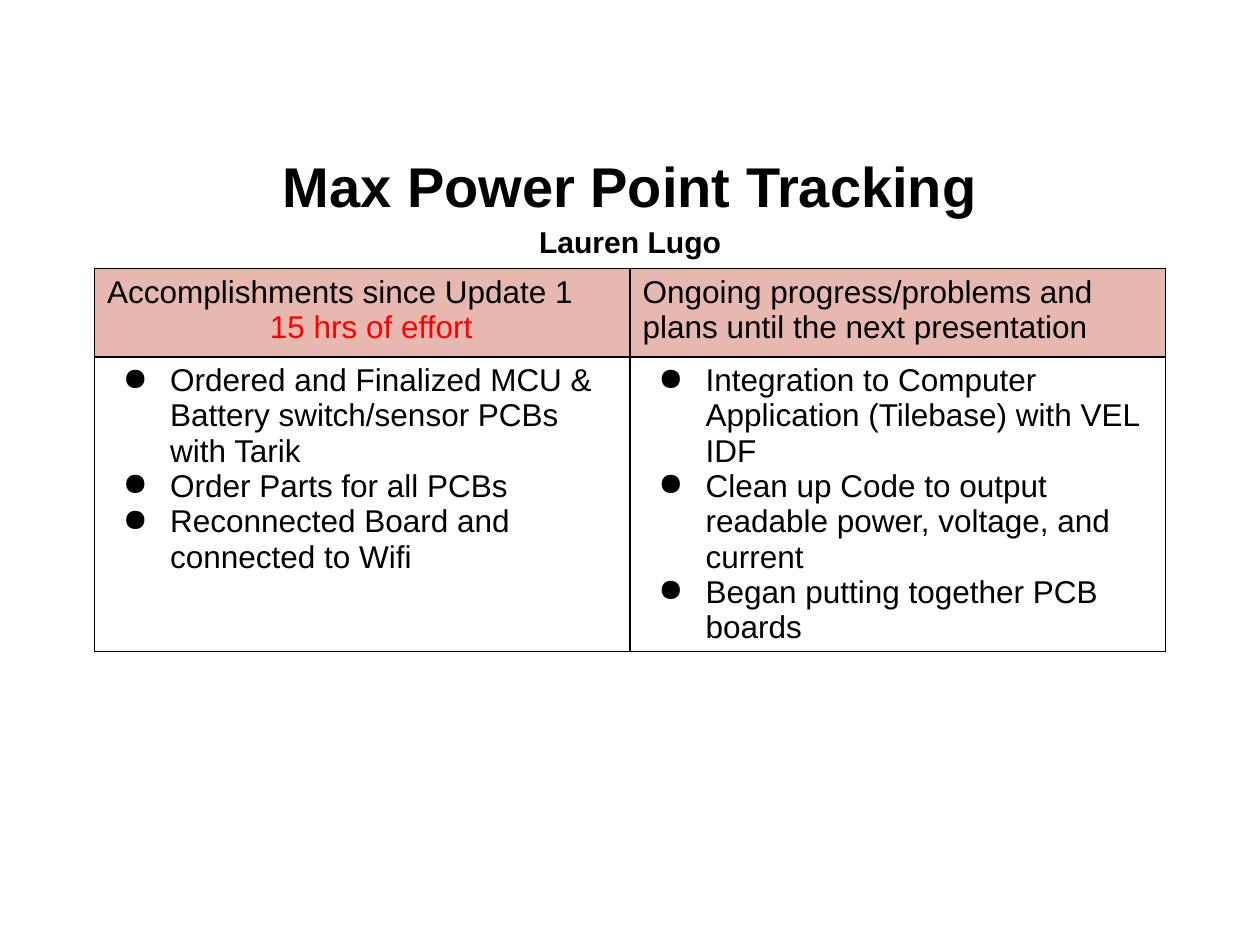
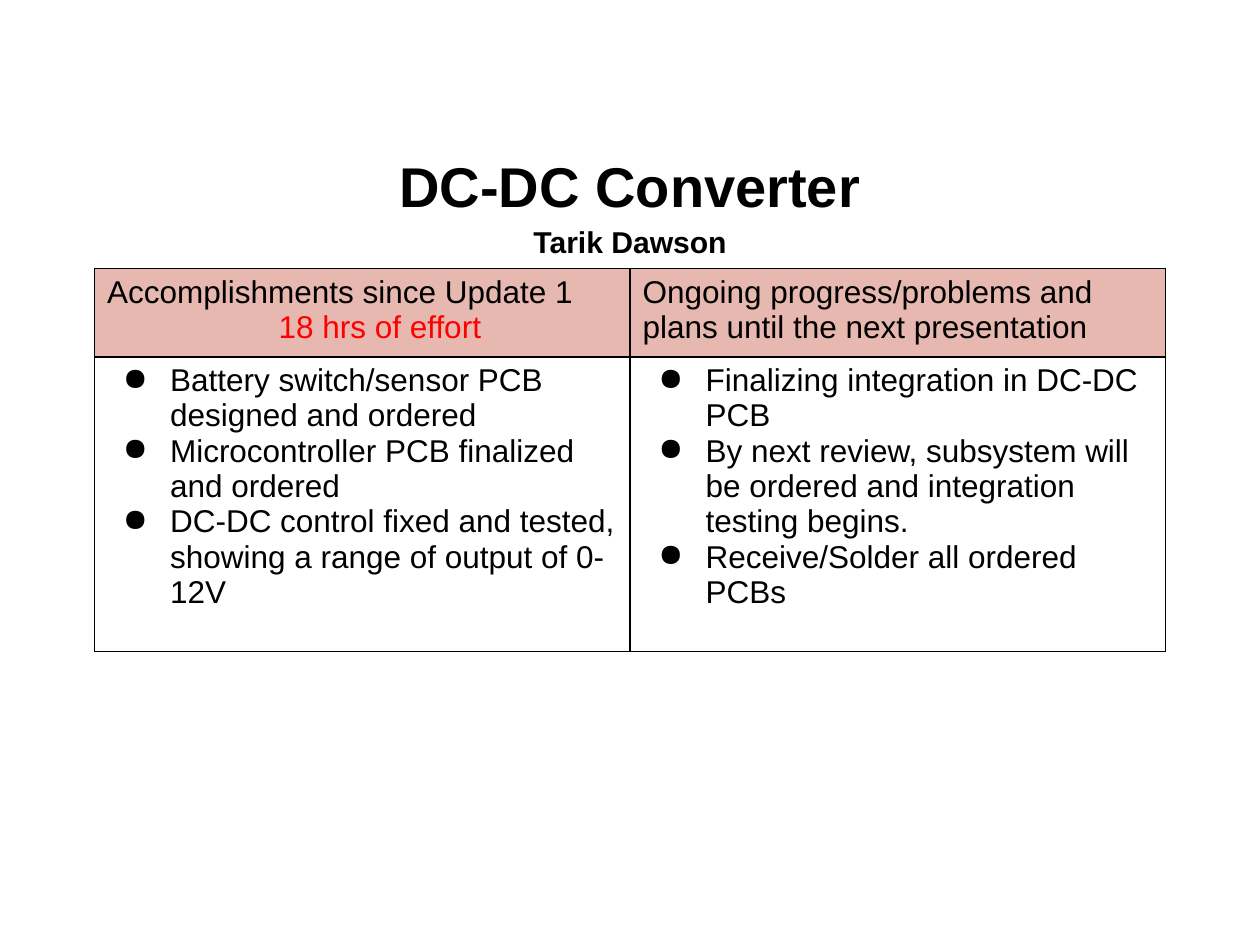
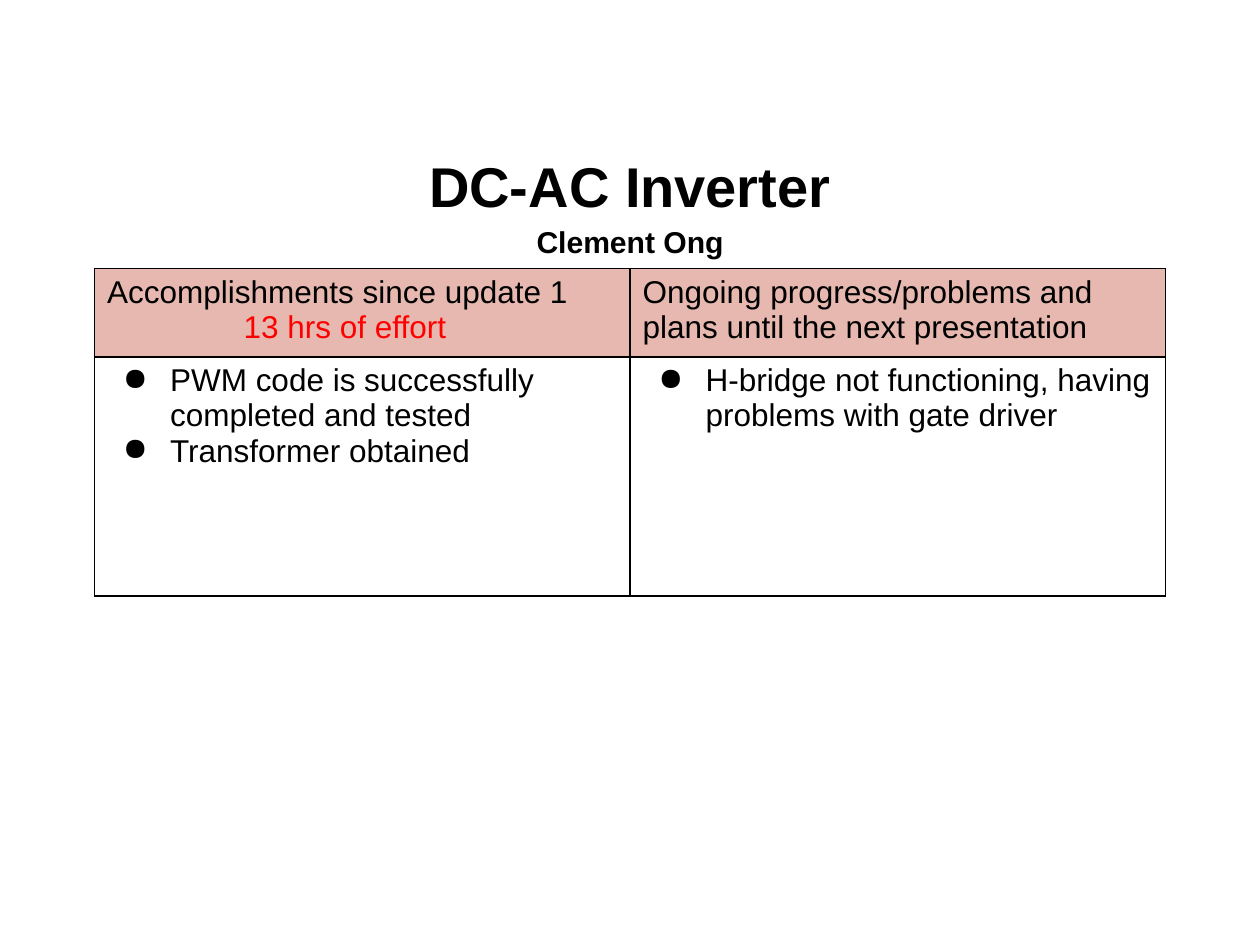
from lxml import etree
from pptx import Presentation
from pptx import util as u
from pptx.dml import color
from pptx.enum import text
from pptx.oxml import ns

COLORS = {"ink": "000000", "effort": "FF0000", "header": "E6B8AF"}
FONT = "Arial"
MARGIN, TABLE_TOP, COLUMN, HEADER_HEIGHT = 54, 153.5, 306, 50.4
PLANS_HEADING = "Ongoing progress/problems and plans until the next presentation"

updates = [
    {
        "topic": "Max Power Point Tracking",
        "presenter": "Lauren Lugo",
        "heading": "Accomplishments since Update 1",
        "effort": "15 hrs of effort",
        "effort_indent": 93,
        "body_height": 168.5,
        "done": [
            "Ordered and Finalized MCU & Battery switch/sensor PCBs with Tarik",
            "Order Parts for all PCBs",
            "Reconnected Board and connected to Wifi",
        ],
        "plans": [
            "Integration to Computer Application (Tilebase) with VEL IDF",
            "Clean up Code to output readable power, voltage, and current",
            "Began putting together PCB boards",
        ],
    },
    {
        "topic": "DC-DC Converter",
        "presenter": "Tarik Dawson",
        "heading": "Accomplishments since Update 1",
        "effort": "18 hrs of effort",
        "effort_indent": 98,
        "body_height": 168.5,
        "done": [
            "Battery switch/sensor PCB designed and ordered",
            "Microcontroller PCB finalized and ordered",
            "DC-DC control fixed and tested, showing a range of output of 0-12V",
        ],
        "plans": [
            "Finalizing integration in DC-DC PCB",
            "By next review, subsystem will be ordered and integration testing begins.",
            "Receive/Solder all ordered PCBs",
        ],
    },
    {
        "topic": "DC-AC Inverter",
        "presenter": "Clement Ong",
        "heading": "Accomplishments since update 1",
        "effort": "13 hrs of effort",
        "effort_indent": 78,
        "body_height": 136.8,
        "done": [
            "PWM code is successfully completed and tested",
            "Transformer obtained",
        ],
        "plans": ["H-bridge not functioning, having problems with gate driver"],
    },
]


def write(frame, words, size=18, ink="ink", bold=False, align=text.PP_ALIGN.LEFT,
          spacing=None, indent=0, bullet=False):
    paragraph = frame.paragraphs[0]
    if paragraph.runs:
        paragraph = frame.add_paragraph()
    paragraph.alignment = align
    if spacing:
        paragraph.line_spacing = spacing
    run = paragraph.add_run()
    run.text = words
    run.font.name = FONT
    run.font.size = u.Pt(size)
    run.font.bold = bold
    run.font.color.rgb = color.RGBColor.from_string(COLORS[ink])
    properties = paragraph._p.get_or_add_pPr()
    if indent:
        properties.set("marL", str(u.Pt(indent)))
    if bullet:
        properties.set("indent", str(u.Pt(-27)))
        tint = etree.SubElement(properties, ns.qn("a:buClr"))
        etree.SubElement(tint, ns.qn("a:srgbClr"), val=COLORS[ink])
        etree.SubElement(properties, ns.qn("a:buChar"), char="●")


def outline(cell):
    properties = cell._tc.get_or_add_tcPr()
    for side in ("a:lnL", "a:lnR", "a:lnT", "a:lnB"):
        line = etree.SubElement(properties, ns.qn(side), w=str(u.Pt(1)))
        fill = etree.SubElement(line, ns.qn("a:solidFill"))
        etree.SubElement(fill, ns.qn("a:srgbClr"), val=COLORS["ink"])


deck = Presentation()
deck.slide_width, deck.slide_height = u.Pt(720), u.Pt(540)

for update in updates:
    slide = deck.slides.add_slide(deck.slide_layouts[5])

    title = slide.shapes.title
    title.left, title.top = u.Pt(36), u.Pt(82.8)
    title.width, title.height = u.Pt(648), u.Pt(63.4)
    title.text_frame.auto_size = text.MSO_AUTO_SIZE.NONE
    title.text_frame.vertical_anchor = text.MSO_ANCHOR.MIDDLE
    for words, size in ((update["topic"], 32), (update["presenter"], 17.2)):
        write(title.text_frame, words, size=size, bold=True,
              align=text.PP_ALIGN.CENTER, spacing=1.15)

    heights = (HEADER_HEIGHT, update["body_height"])
    progress = slide.shapes.add_table(
        2, 2, u.Pt(MARGIN), u.Pt(TABLE_TOP), u.Pt(2 * COLUMN), u.Pt(sum(heights))).table
    progress.first_row = progress.horz_banding = False
    for row, height in zip(progress.rows, heights):
        row.height = u.Pt(height)

    for cell in progress.iter_cells():
        outline(cell)
        cell.fill.background()
    for column, heading in enumerate((update["heading"], PLANS_HEADING)):
        header = progress.cell(0, column)
        header.fill.solid()
        header.fill.fore_color.rgb = color.RGBColor.from_string(COLORS["header"])
        write(header.text_frame, heading)
    write(progress.cell(0, 0).text_frame, update["effort"], ink="effort",
          indent=update["effort_indent"])

    for column, items in enumerate((update["done"], update["plans"])):
        for item in items:
            write(progress.cell(1, column).text_frame, item, indent=36, bullet=True)

deck.save("out.pptx")
